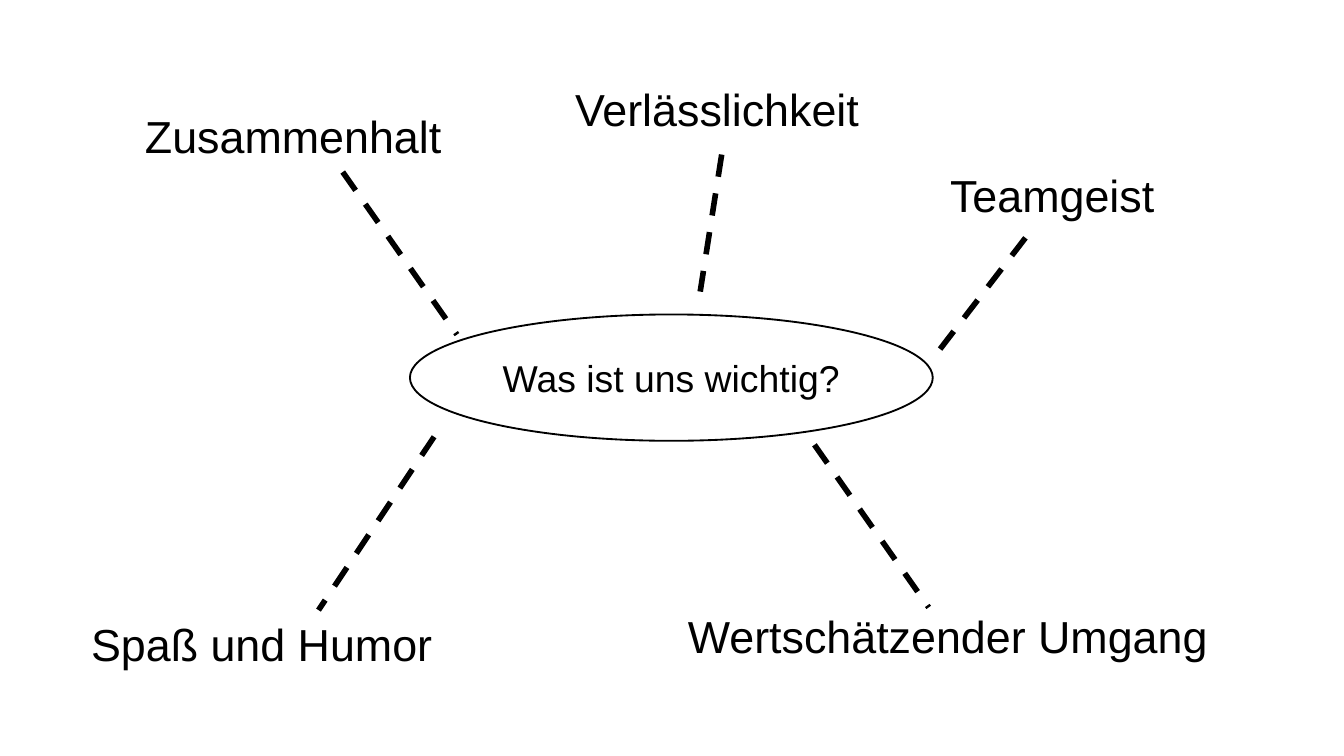
from pptx import Presentation
from pptx.dml.color import RGBColor
from pptx.enum.dml import MSO_LINE
from pptx.enum.shapes import MSO_CONNECTOR, MSO_SHAPE
from pptx.enum.text import MSO_ANCHOR, PP_ALIGN
from pptx.oxml.ns import qn
from pptx.util import Inches, Pt
from lxml import etree

DASH = MSO_LINE.DASH
STRAIGHT = MSO_CONNECTOR.STRAIGHT
OVAL = MSO_SHAPE.OVAL
MIDDLE, TOP = MSO_ANCHOR.MIDDLE, MSO_ANCHOR.TOP
CENTER, LEFT = PP_ALIGN.CENTER, PP_ALIGN.LEFT

BLACK, WHITE, FONT = "000000", "FFFFFF", "Arial"
LABEL_HEIGHT = 0.5

# Content: the central question and its answers, in inches
QUESTION = ("Was ist uns wichtig?", (3.05, 2.34, 3.89, 0.94))
ANSWERS = [  # text, (left, top, width), line start, line end
    ("Zusammenhalt", (0.98, 0.76, 2.71), (2.55, 1.28), (3.4, 2.49)),
    ("Verlässlichkeit", (4.18, 0.56, 2.79), (5.37, 1.15), (5.21, 2.17)),
    ("Spaß und Humor", (0.58, 4.54, 3.2), (3.23, 3.25), (2.37, 4.54)),
    ("Teamgeist", (6.97, 1.2, 2.79), (7.63, 1.77), (6.97, 2.63)),
    ("Wertschätzender Umgang", (5.02, 4.48, 4.85), (6.06, 3.31), (6.91, 4.52)),
]


def color(value):
    return RGBColor.from_string(value)


def write(shape, text, size=24, align=LEFT, anchor=TOP):
    tf = shape.text_frame
    tf.word_wrap = True
    tf.vertical_anchor = anchor
    p = tf.paragraphs[0]
    p.alignment = align
    r = p.add_run()
    r.text = text
    r.font.size, r.font.name = Pt(size), FONT
    r.font.color.rgb = color(BLACK)


def add_spoke(s, start, end):
    line = s.shapes.add_connector(STRAIGHT, *map(Inches, start + end))
    line.line.color.rgb = color(BLACK)
    line.line.width = Pt(3)
    line.line.dash_style = DASH
    etree.SubElement(line._element.spPr, qn("a:effectLst"))


# Widescreen slide, 16:9
prs = Presentation()
prs.slide_width = Inches(10)
prs.slide_height = prs.slide_width * 9 // 16
s = prs.slides.add_slide(prs.slide_layouts[6])

# Central question
text, box = QUESTION
oval = s.shapes.add_shape(OVAL, *map(Inches, box))
oval.shadow.inherit = False
oval.fill.solid()
oval.fill.fore_color.rgb = color(WHITE)
oval.line.color.rgb = color(BLACK)
oval.line.width = Pt(1)
write(oval, text, size=20, align=CENTER, anchor=MIDDLE)

# Answers, each with its dashed spoke
for text, box, start, end in ANSWERS:
    add_spoke(s, start, end)
    label = s.shapes.add_textbox(*map(Inches, box + (LABEL_HEIGHT,)))
    write(label, text)

prs.save("out.pptx")
